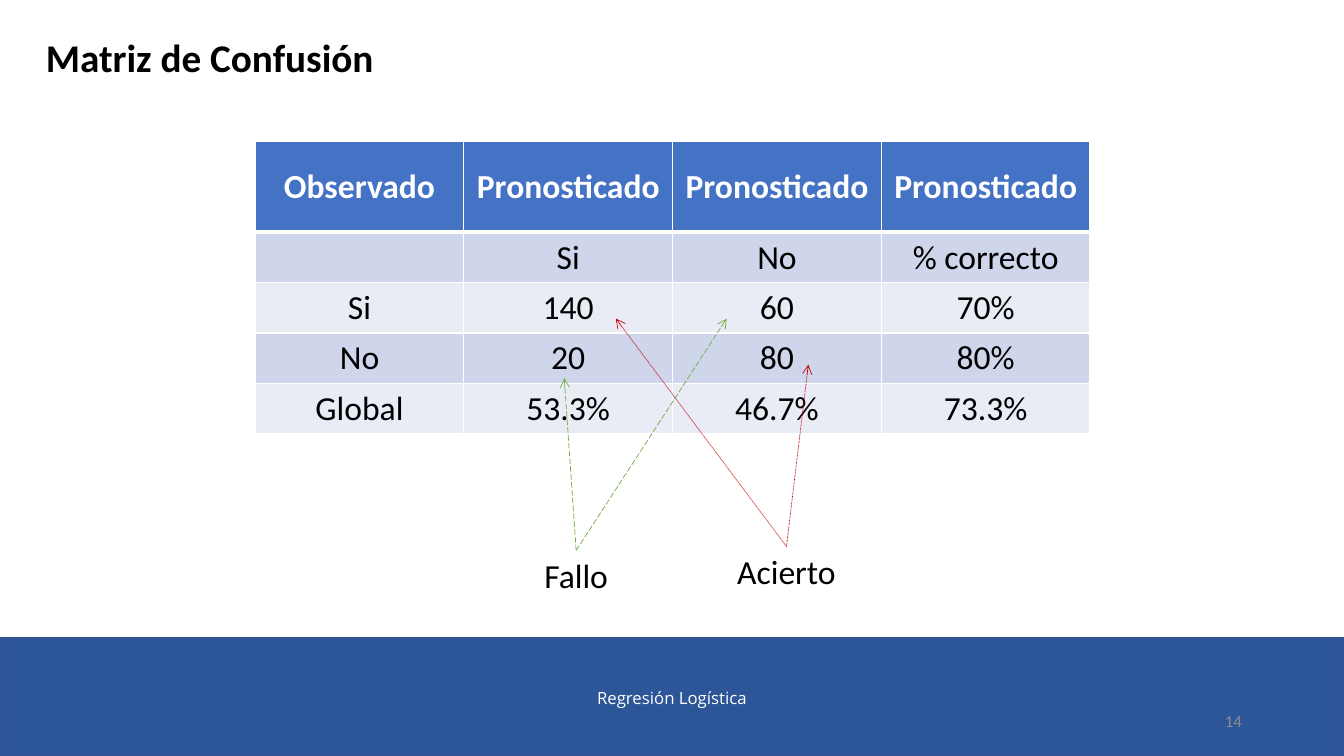
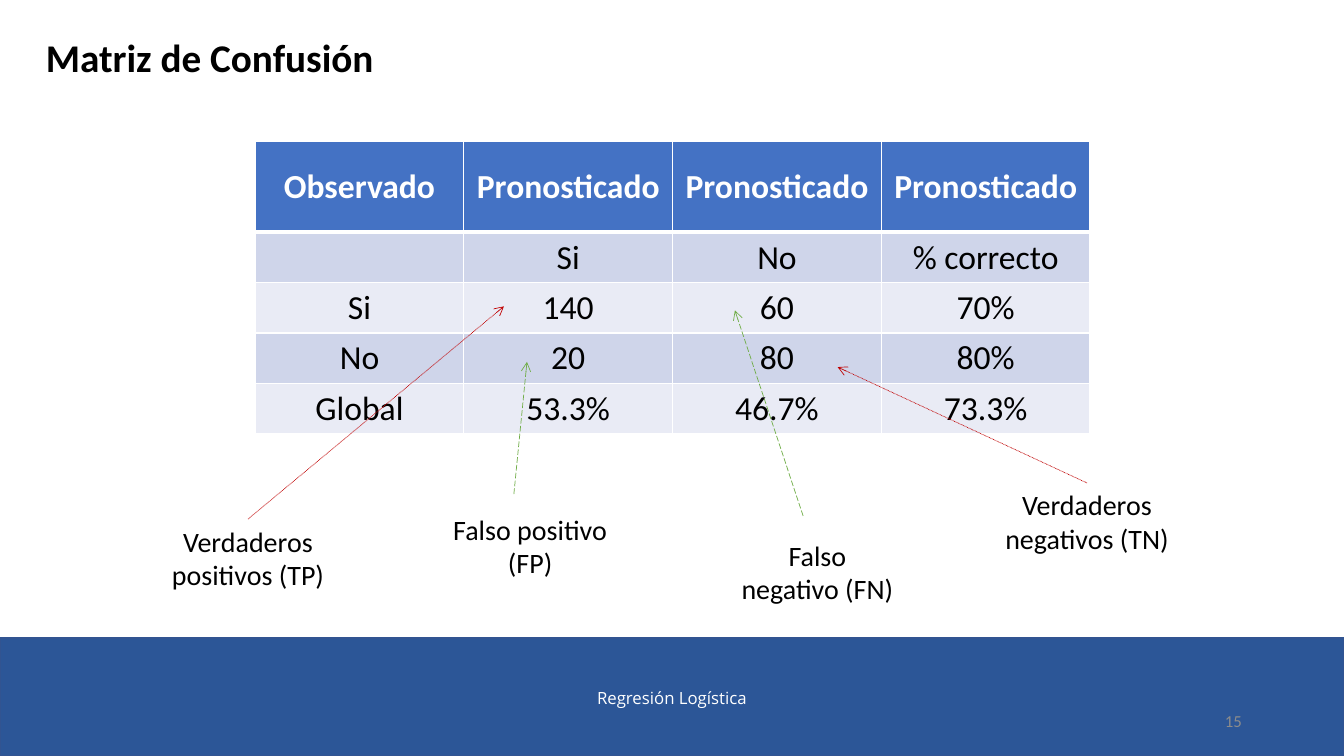
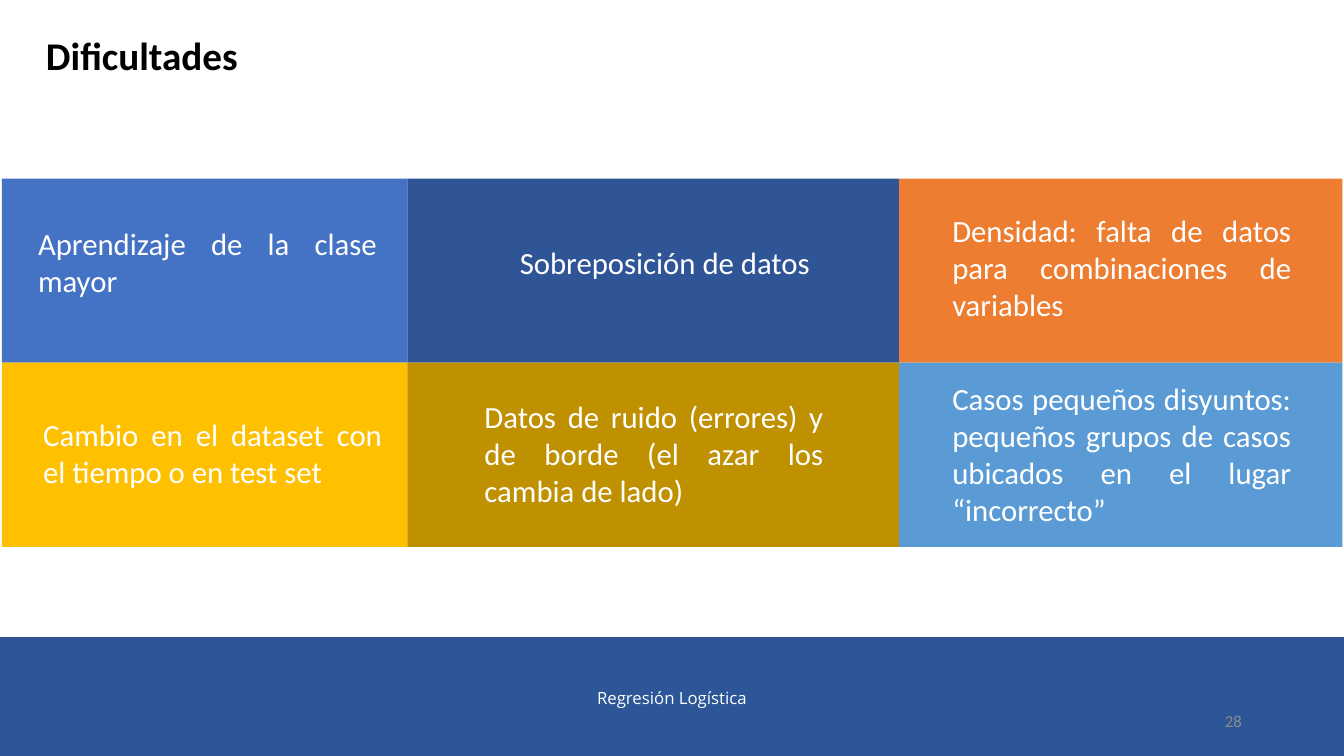
from dataclasses import dataclass
from itertools import accumulate

from pptx import Presentation
from pptx import util as u
from pptx.dml.color import RGBColor
from pptx.enum import dml, shapes, text
from pptx.oxml.ns import qn
from lxml import etree


@dataclass(frozen=True)
class Theme:
    font: str = "Calibri"
    foot: str = "Open Sans"
    black: str = "000000"
    white: str = "FFFFFF"
    gray: str = "8C8C8C"
    band: str = "2C5697"
    edge: str = "325491"
    head: str = "4472C4"
    rows: tuple = ("CFD5EA", "E9EBF5")
    hit: str = "C00000"
    miss: str = "70AD47"
    tiles: tuple = (("4472C4", "2F5597", "ED7D31"), ("FFC000", "BF9000", "5B9BD5"))
    title: int = 28
    body: int = 24
    tile: int = 22
    note: int = 20
    small: int = 12


T = Theme()
WIDE, HIGH = 33.87, 19.05
LEFT, MID, RIGHT, FULL = (
    text.PP_ALIGN.LEFT, text.PP_ALIGN.CENTER, text.PP_ALIGN.RIGHT, text.PP_ALIGN.JUSTIFY)
DASH = {T.hit: dml.MSO_LINE.ROUND_DOT, T.miss: dml.MSO_LINE.LONG_DASH}
GRID = (
    ("Observado", "Pronosticado", "Pronosticado", "Pronosticado"),
    ("", "Si", "No", "% correcto"),
    ("Si", "140", "60", "70%"),
    ("No", "20", "80", "80%"),
    ("Global", "53.3%", "46.7%", "73.3%"),
)


def cms(*vals):
    return [u.Cm(v) for v in vals]


def rgb(hue):
    return RGBColor.from_string(hue)


def style(par, size, hue, align, bold=False, font=T.font):
    par.alignment = align
    for run in par.runs:
        run.font.size = u.Pt(size)
        run.font.name = font
        run.font.bold = bold
        run.font.color.rgb = rgb(hue)


def label(slide, words, at, size, hue=T.black, align=MID, **look):
    box = slide.shapes.add_textbox(*cms(*at))
    frame = box.text_frame
    frame.word_wrap = True
    frame.text = words
    style(frame.paragraphs[0], size, hue, align, **look)
    return box


def block(slide, at, hue, edge=None):
    rect = slide.shapes.add_shape(shapes.MSO_SHAPE.RECTANGLE, *cms(*at))
    rect.shadow.inherit = False
    rect.fill.solid()
    rect.fill.fore_color.rgb = rgb(hue)
    if edge:
        rect.line.color.rgb = rgb(edge)
        rect.line.width = u.Pt(1)
    else:
        rect.line.fill.background()


def arrow(slide, start, end, hue):
    free = isinstance(start, tuple)
    x, y = cms(*start) if free else (start.left, start.top)
    line = slide.shapes.add_connector(shapes.MSO_CONNECTOR.STRAIGHT, x, y, *cms(*end))
    if not free:
        line.begin_connect(start, 0)
    line.line.color.rgb = rgb(hue)
    line.line.width = u.Pt(0.5)
    line.line.dash_style = DASH[hue]
    props = line._element.spPr
    etree.SubElement(props.find(qn("a:ln")), qn("a:tailEnd"), type="arrow")
    etree.SubElement(props, qn("a:effectLst"))


def border(cell, row):
    props = cell._tc.get_or_add_tcPr()
    wide = {"L": 1, "R": 1, "T": 3 if row == 1 else 1, "B": 3 if row == 0 else 1}
    for side, size in wide.items():
        line = etree.SubElement(props, qn("a:ln" + side), w=str(u.Pt(size)))
        fill = etree.SubElement(line, qn("a:solidFill"))
        etree.SubElement(fill, qn("a:srgbClr"), val=T.white)


def matrix(slide):
    grid = slide.shapes.add_table(5, 4, *cms(6.43, 3.56, 21.04, 7.37)).table
    for col in grid.columns:
        col.width = u.Cm(5.26)
    for r, row in enumerate(GRID):
        top = r == 0
        grid.rows[r].height = u.Cm(2.29 if top else 1.27)
        for c, words in enumerate(row):
            cell = grid.cell(r, c)
            border(cell, r)
            cell.fill.solid()
            cell.fill.fore_color.rgb = rgb(T.head if top else T.rows[(r - 1) % 2])
            cell.text_frame.text = words
            style(cell.text_frame.paragraphs[0], T.body,
                  T.white if top else T.black, MID, bold=top)
            if top:
                cell.vertical_anchor = text.MSO_ANCHOR.MIDDLE


def page(deck, title, num, top=0.71):
    slide = deck.slides.add_slide(deck.slide_layouts[6])
    block(slide, (0, 16.08, WIDE, 2.97), T.band, T.edge)
    box = label(slide, num, (23.93, 17.65, 7.62, 1.02), T.small, T.gray, RIGHT)
    box.text_frame.vertical_anchor = text.MSO_ANCHOR.MIDDLE
    label(slide, "Regresión Logística", (0, 17.2, WIDE, 0.76), T.small, T.white, font=T.foot)
    label(slide, title, (0.91, top, 23.24, 1.44), T.title, align=LEFT, bold=True)
    return slide


def hits(deck):
    slide = page(deck, "Matriz de Confusión", "14")
    matrix(slide)
    for words, at, hue, ends in (
        ("Acierto", (18.31, 13.77, 3.02, 1.27), T.hit, ((20.37, 9.19), (15.52, 8.03))),
        ("Fallo", (13.21, 13.87, 2.62, 1.27), T.miss, ((14.22, 9.53), (18.31, 8.03))),
    ):
        box = label(slide, words, at, T.body)
        for end in ends:
            arrow(slide, box, end, hue)


def kinds(deck):
    slide = page(deck, "Matriz de Confusión", "15")
    matrix(slide)
    for words, x, y, wide, start, end, hue in (
        ("Verdaderos positivos (TP)", 4.04, 13.08, 4.42, None, (12.7, 7.72), T.hit),
        ("Falso positivo (FP)", 11.15, 12.78, 4.42, (12.95, 12.45), (13.28, 9.12), T.miss),
        ("Falso negativo (FN)", 18.39, 13.44, 4.42, (20.24, 13), (18.52, 7.82), T.miss),
        ("Verdaderos negativos (TN)", 24.97, 12.17, 4.85, None, (21.11, 9.25), T.hit),
    ):
        box = label(slide, words, (x, y, wide, 1.96), T.note)
        arrow(slide, start or box, end, hue)


def risks(deck):
    slide = page(deck, "Dificultades", "28", 0.66)
    wide, high = (10.22, 12.39, 11.17), 4.64
    lefts = list(accumulate(wide[:-1], initial=0.05))
    for r, hues in enumerate(T.tiles):
        for x, w, hue in zip(lefts, wide, hues):
            block(slide, (x, 4.5 + r * high, w, high), hue)
    for words, x, y, lines in (
        ("Aprendizaje de la clase mayor", 0.71, 5.54, 2),
        ("Sobreposición de datos", 12.85, 6.02, 1),
        ("Densidad: falta de datos para combinaciones de variables", 23.75, 5.21, 3),
        ("Cambio en el dataset con el tiempo o en test set", 0.84, 10.36, 2),
        ("Datos de ruido (errores) y de borde (el azar los cambia de lado)", 11.96, 9.91, 3),
        ("Casos pequeños disyuntos: pequeños grupos de casos ubicados en el lugar “incorrecto”",
         23.75, 9.45, 4),
    ):
        label(slide, words, (x, y, 9.04, 0.25 + 0.94 * lines), T.tile, T.white, FULL)


def main():
    deck = Presentation()
    deck.slide_width, deck.slide_height = cms(WIDE, HIGH)
    hits(deck)
    kinds(deck)
    risks(deck)
    deck.save("out.pptx")


if __name__ == "__main__":
    main()
